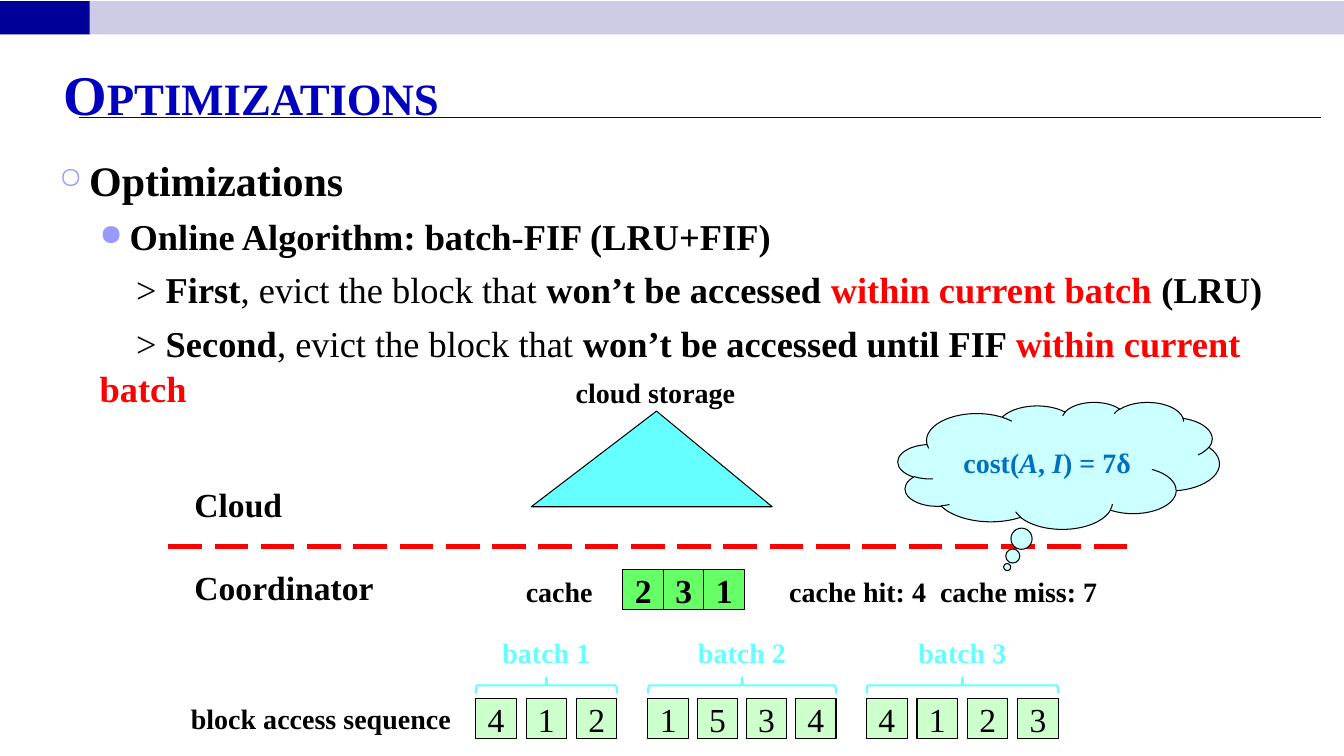
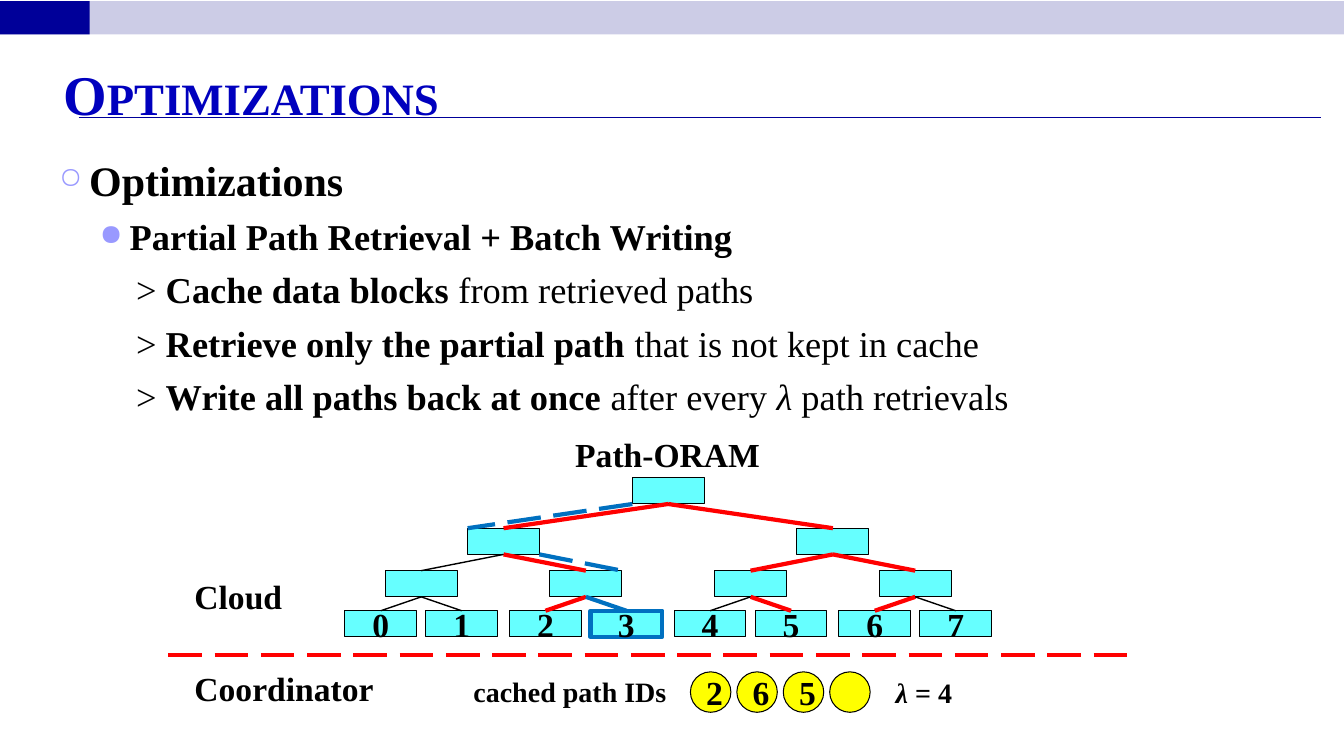
from lxml.etree import SubElement
from pptx import Presentation
from pptx.dml.color import RGBColor
from pptx.enum.dml import MSO_LINE_DASH_STYLE as Dash
from pptx.enum.shapes import MSO_CONNECTOR as Link, MSO_SHAPE as Preset
from pptx.enum.text import MSO_ANCHOR as Anchor, PP_ALIGN as Align
from pptx.oxml.ns import qn
from pptx.util import Cm, Pt

FONT = "Times New Roman"
BLACK = RGBColor(0x00, 0x00, 0x00)
WHITE = RGBColor(0xFF, 0xFF, 0xFF)
NAVY = RGBColor(0x00, 0x00, 0x99)
LAVENDER = RGBColor(0xCC, 0xCC, 0xE6)
TITLE_BLUE = RGBColor(0x00, 0x00, 0xBE)
BULLET = RGBColor(0x99, 0x99, 0xFF)
RED = RGBColor(0xFF, 0x00, 0x00)
BLUE = RGBColor(0x00, 0x70, 0xC0)
CYAN = RGBColor(0x66, 0xFF, 0xFF)
PALE_CYAN = RGBColor(0xCC, 0xFF, 0xFF)
GREEN = RGBColor(0x66, 0xFF, 0x66)
PALE_GREEN = RGBColor(0xCC, 0xFF, 0xCC)
YELLOW = RGBColor(0xFF, 0xFF, 0x00)

PLAIN = {"bold": False}
BOLD = {"bold": True}
BOLD_ITALIC = {"bold": True, "italic": True}
ITALIC = {"bold": False, "italic": True}
ALERT = {"bold": True, "color": RED}

CELL = 1.02
NODE_W, NODE_H = 1.81, 0.66


def write_runs(paragraph, runs, size, color=BLACK):
    """Add (text, format) runs to a paragraph."""
    for text, style in runs:
        run = paragraph.add_run()
        run.text = text
        values = {"name": FONT, "size": Pt(size), **style}
        run.font.color.rgb = values.pop("color", color)
        for key, value in values.items():
            setattr(run.font, key, value)


def add_label(slide, box, runs, size=20, color=BLACK, align=Align.CENTER, anchor=Anchor.MIDDLE):
    """Place a one-paragraph text box, in bold when runs is a string."""
    label = slide.shapes.add_textbox(*map(Cm, box))
    frame = label.text_frame
    frame.word_wrap = True
    frame.vertical_anchor = anchor
    frame.paragraphs[0].alignment = align
    write_runs(frame.paragraphs[0], [(runs, BOLD)] if isinstance(runs, str) else runs, size, color)
    return label


def add_figure(slide, preset, box, fill, line=BLACK, width=0.75, runs=(), size=24, color=BLACK):
    """Place a filled preset shape with centred text; no line when line is None."""
    figure = slide.shapes.add_shape(preset, *map(Cm, box))
    figure.shadow.inherit = False
    figure.fill.solid()
    figure.fill.fore_color.rgb = fill
    if line is None:
        figure.line.fill.background()
    else:
        figure.line.color.rgb = line
        figure.line.width = Pt(width)
    figure.text_frame.vertical_anchor = Anchor.MIDDLE
    figure.text_frame.paragraphs[0].alignment = Align.CENTER
    write_runs(figure.text_frame.paragraphs[0], runs, size, color)
    return figure


def add_line(slide, start, end, color, width, dash=None):
    """Draw a straight connector between two points."""
    line = slide.shapes.add_connector(Link.STRAIGHT, *map(Cm, (*start, *end)))
    line.line.color.rgb = color
    line.line.width = Pt(width)
    if dash:
        line.line.dash_style = dash
    SubElement(line._element.spPr, qn("a:effectLst"))
    return line


def add_frame(slide, title):
    """Draw the top bands, the title and its rule."""
    add_figure(slide, Preset.RECTANGLE, (0, 0.03, 33.87, 0.84), LAVENDER, None)
    add_figure(slide, Preset.RECTANGLE, (0, 0.03, 2.26, 0.84), NAVY, None)
    add_line(slide, (1.98, 2.97), (33.3, 2.97), NAVY, 0.75)
    heading = add_label(slide, (1.35, 1.32, 31.12, 1.88), title, 40, TITLE_BLUE,
                        Align.LEFT, Anchor.BOTTOM)
    heading.text_frame.margin_bottom = 0
    heading.text_frame.paragraphs[0].runs[0]._r.get_or_add_rPr().set("cap", "small")


def add_bullet(properties, char, percent):
    """Give paragraph properties a coloured bullet character."""
    tint = SubElement(properties, qn("a:buClr"))
    SubElement(tint, qn("a:srgbClr"), val=str(BULLET))
    SubElement(properties, qn("a:buSzPct"), val=str(percent * 1000))
    SubElement(properties, qn("a:buChar"), char=char)


def add_outline(slide, box, topic, heading, steps):
    """Write the topic, its heading and the steps below it."""
    outline = slide.shapes.add_textbox(*map(Cm, box)).text_frame
    outline.word_wrap = True
    rows = [([(topic, BOLD)], 30, 6, 0, 0.76, -0.76, ("○", 70)),
            ([(heading, BOLD)], 26, 5.2, 1, 1.78, -0.76, ("●", 80))]
    rows += [([("> ", PLAIN), *step], 26, 5.2, 1, 1.02, 0.92, None) for step in steps]
    for index, (runs, size, before, level, left, indent, bullet) in enumerate(rows):
        paragraph = outline.add_paragraph() if index else outline.paragraphs[0]
        paragraph.level = level
        paragraph.line_spacing = 1.05
        paragraph.space_before = Pt(before)
        properties = paragraph._p.get_or_add_pPr()
        properties.set("marL", str(Cm(left)))
        properties.set("indent", str(Cm(indent)))
        if bullet:
            add_bullet(properties, *bullet)
        write_runs(paragraph, runs, size)


def add_divider(slide, cloud_top, line_y, coordinator_top):
    """Separate the cloud from the coordinator with a dashed line."""
    for name, top, width in (("Cloud", cloud_top, 2.9), ("Coordinator", coordinator_top, 5.11)):
        add_label(slide, (4.65, top, width, 1.27), name, 24, align=Align.LEFT, anchor=Anchor.TOP)
    add_line(slide, (4.24, line_y), (28.58, line_y), RED, 3, Dash.LONG_DASH)


def add_cells(slide, left, top, pitch, digits, fill, style, preset=Preset.RECTANGLE):
    """Place a row of equal cells, one per digit."""
    for index, digit in enumerate(digits):
        add_figure(slide, preset, (left + index * pitch, top, CELL, CELL), fill,
                   runs=[(digit.strip(), style)] if digit.strip() else ())


def add_batch(slide, left, top, pitch, name, digits):
    """Draw a named batch of blocks under a brace."""
    add_cells(slide, left, top, pitch, digits, PALE_GREEN, PLAIN)
    span = (len(digits) - 1) * pitch + CELL
    middle, depth = left + span / 2, 0.4
    brace = add_figure(slide, Preset.RIGHT_BRACE,
                       (middle - depth / 2, top - 0.33 - span / 2, depth, span), WHITE, CYAN, 1.5)
    brace.rotation = 270
    add_label(slide, (middle - 1.95, top - 1.72, 3.9, 1.12), name, color=CYAN)


def add_tree(slide, left, top, cached, target):
    """Draw the path tree, with cached paths in red and the retrieved part in blue."""
    drops = (0, 1.27, 2.34, 3.35)
    lefts = {8 + leaf: left + leaf // 2 * 4.15 + leaf % 2 * 2.04 for leaf in range(8)}
    for number in range(7, 0, -1):
        lefts[number] = (lefts[2 * number] + lefts[2 * number + 1]) / 2
    tops = {number: top + drops[number.bit_length() - 1] for number in lefts}
    nodes = {}
    for number in range(1, 16):
        line, width = (BLUE, 3) if number == 8 + target else (BLACK, 0.75)
        nodes[number] = add_figure(slide, Preset.RECTANGLE,
                                   (lefts[number], tops[number], NODE_W, NODE_H), CYAN, line, width,
                                   [(str(number - 8), BOLD)] if number > 7 else ())
    cached_nodes = {(8 + leaf) >> depth for leaf in cached for depth in range(3)}
    for number in range(2, 16):
        color, width = (BLACK, 1)
        if number in cached_nodes:
            color, width = RED, 3
        elif number == 8 + target:
            color, width = BLUE, 3
        edge = add_line(slide, (0, 0), (1, 1), color, width)
        edge.begin_connect(nodes[number // 2], 2)
        edge.end_connect(nodes[number], 0)
    for parent, child, shift in ((1, 2, 0), (2, 5, NODE_W)):
        add_line(slide, (lefts[parent] + shift, tops[parent] + NODE_H),
                 (lefts[child] + shift, tops[child]), BLUE, 3, Dash.LONG_DASH)


def build_algorithm(slide):
    """Build the slide on the online eviction algorithm."""
    add_frame(slide, "Optimizations")
    add_outline(slide, (1.24, 3.71, 31.12, 13.92), "Optimizations",
                "Online Algorithm: batch-FIF (LRU+FIF)",
                [[("First", BOLD), (", evict the block that ", PLAIN),
                  ("won’t be accessed ", BOLD), ("within current batch ", ALERT), ("(LRU)", BOLD)],
                 [("Second", BOLD), (", evict the block that ", PLAIN),
                  ("won’t be accessed until FIF ", BOLD), ("within current batch", ALERT)]])
    for left, pitch, name, digits in ((11.99, 1.27, "batch 1", "412"),
                                      (16.33, 1.24, "batch 2", "1534"),
                                      (21.84, 1.27, "batch 3", "4123")):
        add_batch(slide, left, 17.6, pitch, name, digits)
    add_cells(slide, 15.7, 14.35, CELL, "231", GREEN, BOLD)
    storage = add_figure(slide, Preset.ISOSCELES_TRIANGLE, (13.39, 10.36, 6.07, 2.41), CYAN)
    storage.adjustments[0] = 0.52
    add_divider(slide, 12.07, 13.77, 14.17)
    for text, box in (("cloud storage", (13.79, 9.32, 5.46, 1.12)),
                      ("cache", (12.95, 14.35, 2.29, 1.12)),
                      ("cache hit: 4  cache miss: 7", (19.23, 14.33, 9.09, 1.12)),
                      ("block access sequence", (4.52, 17.53, 7.14, 1.12))):
        add_label(slide, box, text)
    cost = add_figure(slide, Preset.CLOUD_CALLOUT, (22.63, 10.13, 8.1, 3.2), PALE_CYAN,
                      runs=[("cost(", BOLD), ("A", BOLD_ITALIC), (", ", BOLD),
                            ("I", BOLD_ITALIC), (") = 7δ", BOLD)], size=20, color=BLUE)
    cost.adjustments[0], cost.adjustments[1] = -0.16, 0.8


def build_retrieval(slide):
    """Build the slide on partial path retrieval."""
    add_frame(slide, "Optimizations")
    add_outline(slide, (1.24, 3.71, 31.12, 13.92), "Optimizations",
                "Partial Path Retrieval + Batch Writing",
                [[("Cache data blocks ", BOLD), ("from retrieved paths", PLAIN)],
                 [("Retrieve only the partial path ", BOLD), ("that is not kept in cache", PLAIN)],
                 [("Write all paths back at once ", BOLD), ("after every ", PLAIN),
                  ("λ", ITALIC), (" path retrievals", PLAIN)]])
    add_label(slide, (14.17, 10.8, 5.31, 1.27), "Path-ORAM", 24, anchor=Anchor.TOP)
    add_tree(slide, 8.69, 12.04, cached=(2, 6, 5), target=3)
    add_divider(slide, 14.4, 16.51, 16.71)
    add_label(slide, (11.38, 16.87, 5.97, 1.12), "cached path IDs")
    add_cells(slide, 17.4, 16.93, 1.17, "265 ", YELLOW, BOLD, Preset.OVAL)
    add_label(slide, (22.23, 16.89, 2.11, 1.12), [("λ ", BOLD_ITALIC), ("= 4", BOLD)])


def main():
    """Build and save the presentation."""
    deck = Presentation()
    deck.slide_width, deck.slide_height = Cm(33.87), Cm(19.05)
    for build in (build_algorithm, build_retrieval):
        build(deck.slides.add_slide(deck.slide_layouts[6]))
    deck.save("out.pptx")


if __name__ == "__main__":
    main()
